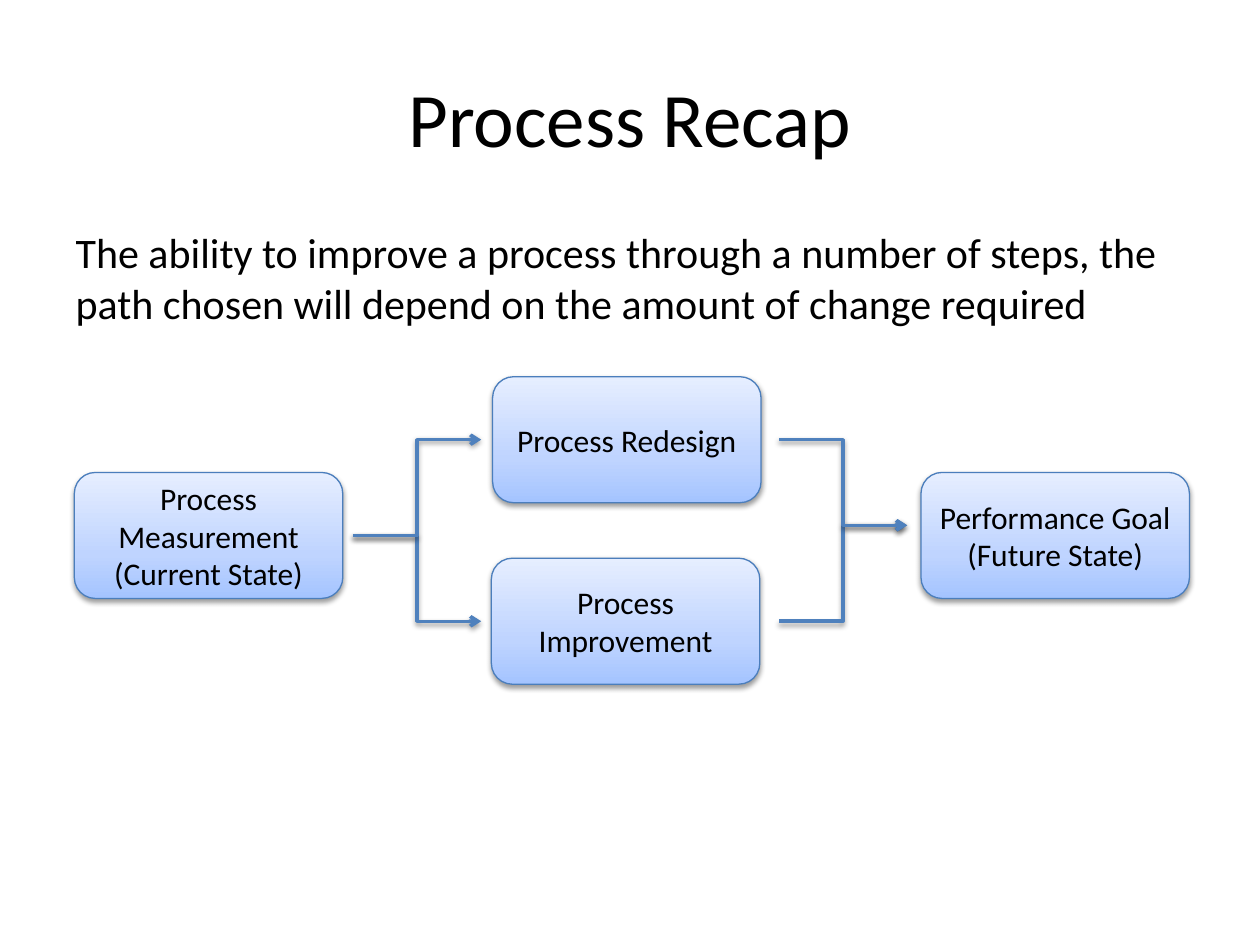
from copy import deepcopy

from lxml import etree
from pptx import Presentation
from pptx.dml.color import RGBColor
from pptx.enum.shapes import MSO_CONNECTOR, MSO_SHAPE
from pptx.enum.text import MSO_ANCHOR, PP_ALIGN
from pptx.oxml.ns import qn
from pptx.util import Pt

ROUNDED = MSO_SHAPE.ROUNDED_RECTANGLE
ELBOW = MSO_CONNECTOR.ELBOW
CENTER, LEFT = PP_ALIGN.CENTER, PP_ALIGN.LEFT
MIDDLE, TOP = MSO_ANCHOR.MIDDLE, MSO_ANCHOR.TOP

COLORS = {
    "text": "000000",
    "outline": "4B7EBC",
    "arrow": "4F81BD",
    "shadow": "000000",
}
GRADIENT = [(0, "A4C4FF"), (0.35, "BFD4FF"), (1, "E6EEFF")]

BOX_WIDTH, BOX_HEIGHT = 153.4, 72
BOXES = [
    ("Process Measurement (Current State)", 42.5, 270),
    ("Process Redesign", 281.5, 215.3),
    ("Performance Goal\n(Future State)", 526.3, 270),
    ("Process Improvement", 280.8, 319),
]

# Each fork joins one stem point to two branch points.
BRANCH_HEIGHTS = (355, 251.3)
FORKS = [
    {"stem": (201.6, 306), "branch_left": 275, "arrow_end": "tailEnd"},
    {"stem": (518.4, 300.2), "branch_left": 445, "arrow_end": "headEnd"},
]


def color(name):
    """Return the named colour."""
    return RGBColor.from_string(COLORS[name])


def format_text(text_frame, size, alignment, anchor):
    """Format all text in a frame."""
    text_frame.word_wrap = True
    text_frame.vertical_anchor = anchor
    for paragraph in text_frame.paragraphs:
        paragraph.alignment = alignment
        for run in paragraph.runs:
            values = {"size": Pt(size), "name": "Calibri"}
            for attribute, value in values.items():
                setattr(run.font, attribute, value)
            run.font.color.rgb = color("text")


def fill_placeholder(placeholder, text, bounds, size, alignment, anchor):
    """Place a template placeholder and set its text."""
    for attribute, value in zip(("left", "top", "width", "height"), bounds):
        setattr(placeholder, attribute, Pt(value))
    placeholder.text_frame.text = text
    format_text(placeholder.text_frame, size, alignment, anchor)


def remove_bullet(paragraph):
    """Turn a list paragraph into plain text without an indent."""
    properties = paragraph._p.get_or_add_pPr()
    properties.set("marL", "0")
    properties.set("indent", "0")
    etree.SubElement(properties, qn("a:buNone"))


def add_shadow(shape):
    """Give a shape or connector a soft shadow below it."""
    effects = etree.SubElement(shape._element.spPr, qn("a:effectLst"))
    shadow = etree.SubElement(
        effects, qn("a:outerShdw"), blurRad=str(Pt(3.1)), dist=str(Pt(1.6)),
        dir="5400000", rotWithShape="0")
    tone = etree.SubElement(shadow, qn("a:srgbClr"), val=COLORS["shadow"])
    etree.SubElement(tone, qn("a:alpha"), val="38000")


def fill_gradient(shape):
    """Fill a shape with the gradient, dark at the bottom."""
    fill = shape.fill
    fill.gradient()
    fill.gradient_angle = 90
    stop_list = shape._element.spPr.find(".//" + qn("a:gsLst"))
    stop_list.append(deepcopy(stop_list[0]))
    for stop, (position, hex_color) in zip(fill.gradient_stops, GRADIENT):
        stop.position = position
        stop.color.rgb = RGBColor.from_string(hex_color)


def add_box(slide, text, left, top):
    """Add one rounded process box."""
    shape = slide.shapes.add_shape(
        ROUNDED, Pt(left), Pt(top), Pt(BOX_WIDTH), Pt(BOX_HEIGHT))
    fill_gradient(shape)
    shape.line.color.rgb = color("outline")
    shape.line.width = Pt(0.75)
    add_shadow(shape)
    shape.text_frame.text = text
    format_text(shape.text_frame, 18, CENTER, MIDDLE)


def add_fork(slide, stem, branch_left, arrow_end):
    """Add a group of two elbow arrows that share a stem."""
    group = slide.shapes.add_group_shape()
    for branch_top in BRANCH_HEIGHTS:
        connector = group.shapes.add_connector(
            ELBOW, Pt(stem[0]), Pt(stem[1]), Pt(branch_left), Pt(branch_top))
        connector.line.color.rgb = color("arrow")
        connector.line.width = Pt(2)
        line = connector._element.spPr.find(qn("a:ln"))
        etree.SubElement(line, qn("a:" + arrow_end), type="arrow")
        add_shadow(connector)


def main():
    """Build the slide and save it."""
    presentation = Presentation()
    presentation.slide_width, presentation.slide_height = Pt(720), Pt(540)
    slide = presentation.slides.add_slide(presentation.slide_layouts[1])
    title, body = slide.placeholders
    fill_placeholder(title, "Process Recap", (36, 21.6, 648, 90),
                     44, CENTER, MIDDLE)
    fill_placeholder(
        body,
        "The ability to improve a process through a number of steps, "
        "the path chosen will depend on the amount of change required",
        (36, 126, 648, 356.4), 24, LEFT, TOP)
    remove_bullet(body.text_frame.paragraphs[0])
    for box in BOXES:
        add_box(slide, *box)
    for fork in FORKS:
        add_fork(slide, **fork)
    presentation.save("out.pptx")


main()
